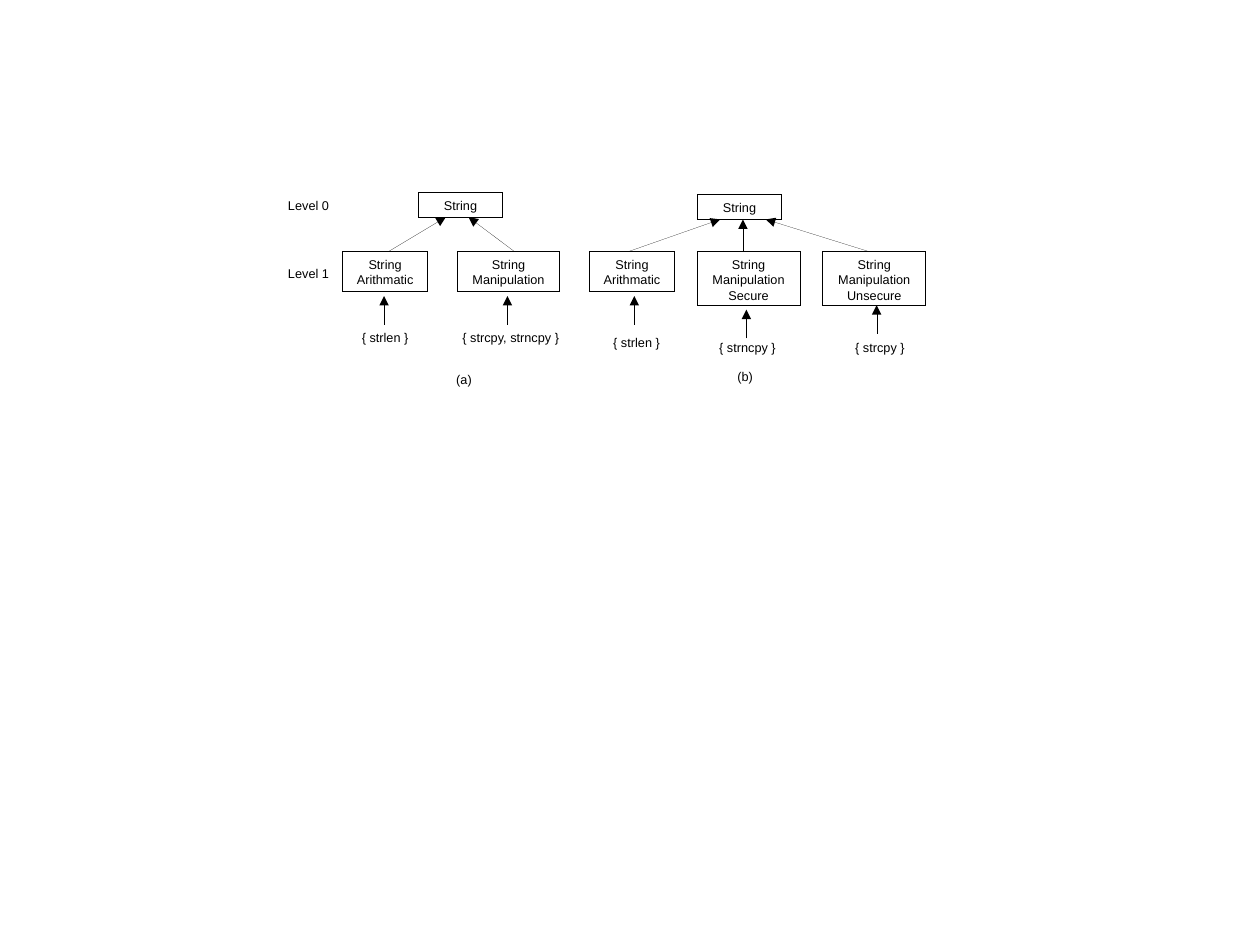
from pptx import Presentation
from pptx.dml.color import RGBColor
from pptx.enum.shapes import MSO_CONNECTOR as Link, MSO_SHAPE as Shape
from pptx.enum.text import (
    MSO_ANCHOR as Anchor, MSO_AUTO_SIZE as Fit, PP_ALIGN as Align)
from pptx.oxml.ns import qn
from pptx.util import Inches, Pt
from lxml.etree import SubElement

INK = "000000"
LOW = 0.22
ROW = 2.2
RISE = 0.25

ROOTS = [(3.66, 1.68), (6.1, 1.7)]
NODES = [
    ("String Arithmatic", 3, 0.74, 0.35),
    ("String Manipulation", 4, 0.9, 0.35),
    ("String Arithmatic", 5.16, 0.74, 0.35),
    ("String Manipulation Secure", 6.1, 0.9, 0.47),
    ("String Manipulation Unsecure", 7.2, 0.9, 0.47),
]
LABELS = [
    ("Level 0", 2.2, 1.68, 1, LOW),
    ("Level 1", 2.2, 2.28, 1, LOW),
    ("{ strlen }", 3, 2.84, 0.74, LOW),
    ("{ strcpy, strncpy }", 3.92, 2.84, 1.1, LOW),
    ("{ strlen }", 5.2, 2.88, 0.74, LOW),
    ("{ strncpy }", 6.04, 2.92, 1, LOW),
    ("{ strcpy }", 7.2, 2.92, 1, 2.1),
    ("(a)", 3.56, 3.2, 1, LOW),
    ("(b)", 6.02, 3.18, 1, LOW),
]
STEMS = [(3.36, 2.84), (4.44, 2.84), (5.55, 2.84), (6.53, 2.96), (7.67, 2.92)]
EDGES = [
    (3.4, 3.9, 1.9),
    (4.5, 4.1, 1.9),
    (5.5, 6.3, 1.92),
    (6.5, 6.5, 1.92),
    (7.6, 6.7, 1.92),
]


def tint(code):
    return RGBColor.from_string(code)


def write(shape, text):
    frame = shape.text_frame
    frame.word_wrap = True
    frame.auto_size = Fit.SHAPE_TO_FIT_TEXT
    frame.vertical_anchor = Anchor.TOP
    para = frame.paragraphs[0]
    para.alignment = Align.CENTER
    run = para.add_run()
    run.text = text
    run.font.name = "Arial"
    run.font.size = Pt(8)
    run.font.color.rgb = tint(INK)


def stroke(shape):
    shape.line.color.rgb = tint(INK)
    edge = shape._element.spPr.find(qn("a:ln"))
    edge.set("w", "0")
    return edge


def label(slide, text, x, y, w, h):
    box = slide.shapes.add_textbox(Inches(x), Inches(y), Inches(w), Inches(h))
    write(box, text)


def node(slide, text, x, y, w, h):
    box = slide.shapes.add_shape(
        Shape.RECTANGLE, Inches(x), Inches(y), Inches(w), Inches(h))
    box.shadow.inherit = False
    box.fill.background()
    stroke(box)
    write(box, text)


def arrow(slide, x1, y1, x2, y2):
    link = slide.shapes.add_connector(
        Link.STRAIGHT, Inches(x1), Inches(y1), Inches(x2), Inches(y2))
    SubElement(stroke(link), qn("a:tailEnd"), type="triangle")
    SubElement(link._element.spPr, qn("a:effectLst"))


def main():
    deck = Presentation()
    deck.slide_width = Inches(28 / 2.54)
    deck.slide_height = Inches(21 / 2.54)
    slide = deck.slides.add_slide(deck.slide_layouts[6])
    for x, y in ROOTS:
        node(slide, "String", x, y, 0.74, LOW)
    for text, x, w, h in NODES:
        node(slide, text, x, ROW, w, h)
    for item in LABELS:
        label(slide, *item)
    for x, y in STEMS:
        arrow(slide, x, y, x, y - RISE)
    for x1, x2, y in EDGES:
        arrow(slide, x1, ROW, x2, y)
    deck.save("out.pptx")


if __name__ == "__main__":
    main()
